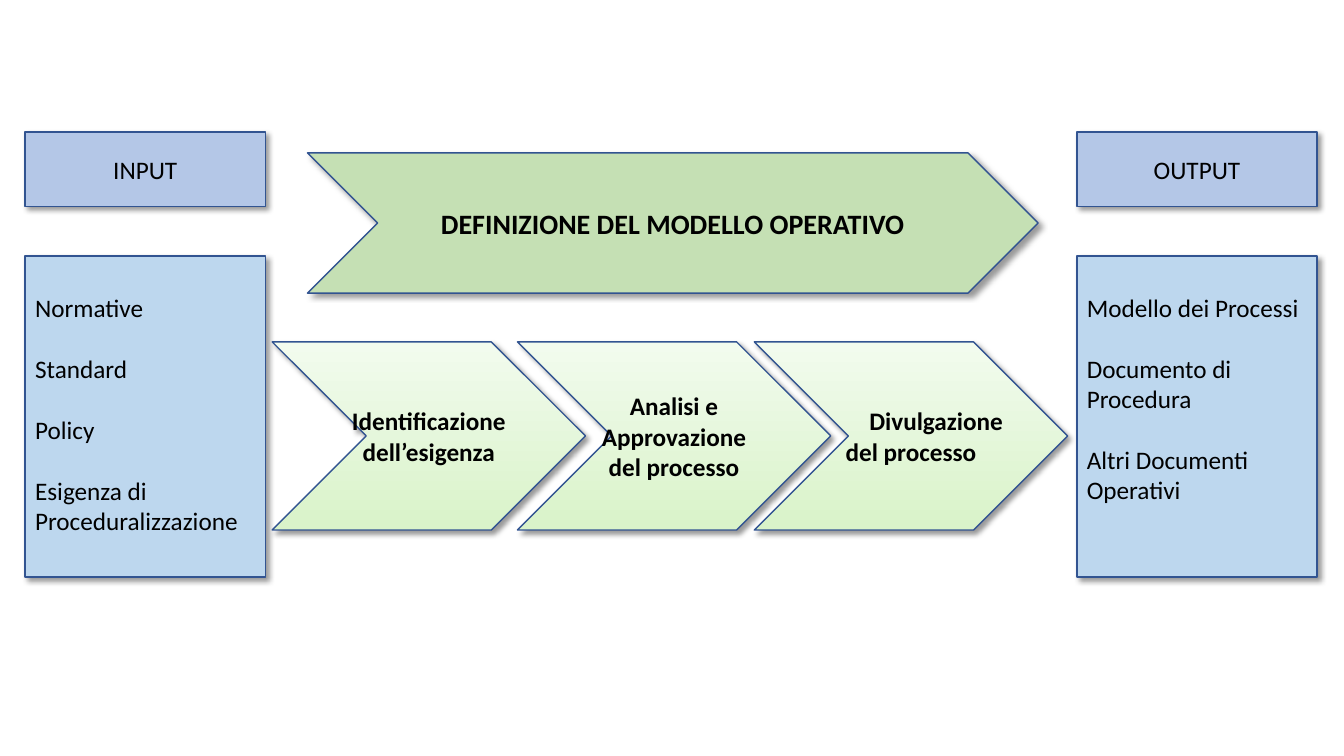
import pptx
import pptx.dml.color
import pptx.enum.shapes
import pptx.enum.text
import pptx.oxml
import pptx.oxml.ns
import pptx.util
from lxml import etree

Shape = pptx.enum.shapes.MSO_SHAPE
Anchor = pptx.enum.text.MSO_ANCHOR
Align = pptx.enum.text.PP_ALIGN
Pt = pptx.util.Pt

COLUMNS, ROWS = 160, 90
WIDTH, HEIGHT = pptx.util.Inches(13.33), pptx.util.Inches(7.5)

SHADOW = (
    '<a:outerShdw %s blurRad="50800" dist="38100" dir="2700000" algn="tl" rotWithShape="0">'
    '<a:srgbClr val="000000"><a:alpha val="40000"/></a:srgbClr></a:outerShdw>'
    % pptx.oxml.ns.nsdecls("a")
)
CENTRED = {"alignment": Align.CENTER}
LISTED = {"alignment": Align.LEFT, "space_after": Pt(22)}
MIDDLE = {"word_wrap": True, "vertical_anchor": Anchor.MIDDLE}
UNWRAPPED = {"word_wrap": False, "vertical_anchor": Anchor.MIDDLE}
LOWERED = {"word_wrap": True, "vertical_anchor": Anchor.TOP, "margin_top": Pt(25.6)}


def colour(value):
    return pptx.dml.color.RGBColor.from_string(value)


def apply(target, values):
    for name, value in values.items():
        setattr(target, name, value)


def paint(shape, fills):
    if len(fills) == 1:
        shape.fill.solid()
        shape.fill.fore_color.rgb = colour(fills[0])
    else:
        shape.fill.gradient()
        shape.fill.gradient_angle = 90
        for stop, value in zip(shape.fill.gradient_stops, fills):
            stop.color.rgb = colour(value)
    shape.line.color.rgb = colour("325491")
    shape.line.width = Pt(1)
    shape.shadow.inherit = False
    effects = shape._element.spPr.find(pptx.oxml.ns.qn("a:effectLst"))
    effects.append(etree.fromstring(SHADOW))


def add_block(page, kind, box, fills, lines, frame=MIDDLE, layout=CENTRED, size=18, bold=False):
    left, top, width, height = box
    shape = page.shapes.add_shape(
        kind,
        round(WIDTH * left / COLUMNS),
        round(HEIGHT * top / ROWS),
        round(WIDTH * width / COLUMNS),
        round(HEIGHT * height / ROWS),
    )
    paint(shape, fills)
    text = shape.text_frame
    apply(text, frame)
    for index, line in enumerate(lines):
        para = text.paragraphs[0] if index == 0 else text.add_paragraph()
        apply(para, layout)
        span = para.add_run()
        span.text = line
        apply(span.font, {"name": "Calibri", "size": Pt(size), "bold": bold})
        span.font.color.rgb = colour("000000")


def add_side(page, box, title, items):
    left, top, width, height = box
    list_offset = 14.8
    add_block(page, Shape.RECTANGLE, (left, top, width, 8.9), ["B4C7E7"], [title])
    list_box = (left, top + list_offset, width, height - list_offset)
    add_block(page, Shape.RECTANGLE, list_box, ["BDD7EE"], items, LOWERED, LISTED)


def add_banner(page, box, title):
    add_block(page, Shape.CHEVRON, box, ["C5E0B4"], [title], size=20, bold=True)


def add_steps(page, box, steps):
    left, top, width, height = box
    for offset, lines in steps:
        step_box = (left + offset, top, width, height)
        add_block(page, Shape.CHEVRON, step_box, ["D9F3C9", "F2FBEE"], lines, UNWRAPPED, bold=True)


def main():
    deck = pptx.Presentation()
    apply(deck, {"slide_width": WIDTH, "slide_height": HEIGHT})
    page = deck.slides.add_slide(deck.slide_layouts[6])
    add_side(page, (3, 15.7, 28.6, 53), "INPUT",
             ["Normative", "Standard", "Policy", "Esigenza di Proceduralizzazione"])
    add_side(page, (128.2, 15.7, 28.6, 53), "OUTPUT",
             ["Modello dei Processi", "Documento di Procedura", "Altri Documenti Operativi"])
    add_banner(page, (36.6, 18.2, 87, 16.7), "DEFINIZIONE DEL MODELLO OPERATIVO")
    add_steps(page, (32.4, 40.7, 37.3, 22.4), [
        (0, ["Identificazione", "dell’esigenza"]),
        (29.2, ["Analisi e", "Approvazione", "del processo"]),
        (57.4, ["\tDivulgazione", "del processo"]),
    ])
    deck.save("out.pptx")


if __name__ == "__main__":
    main()
